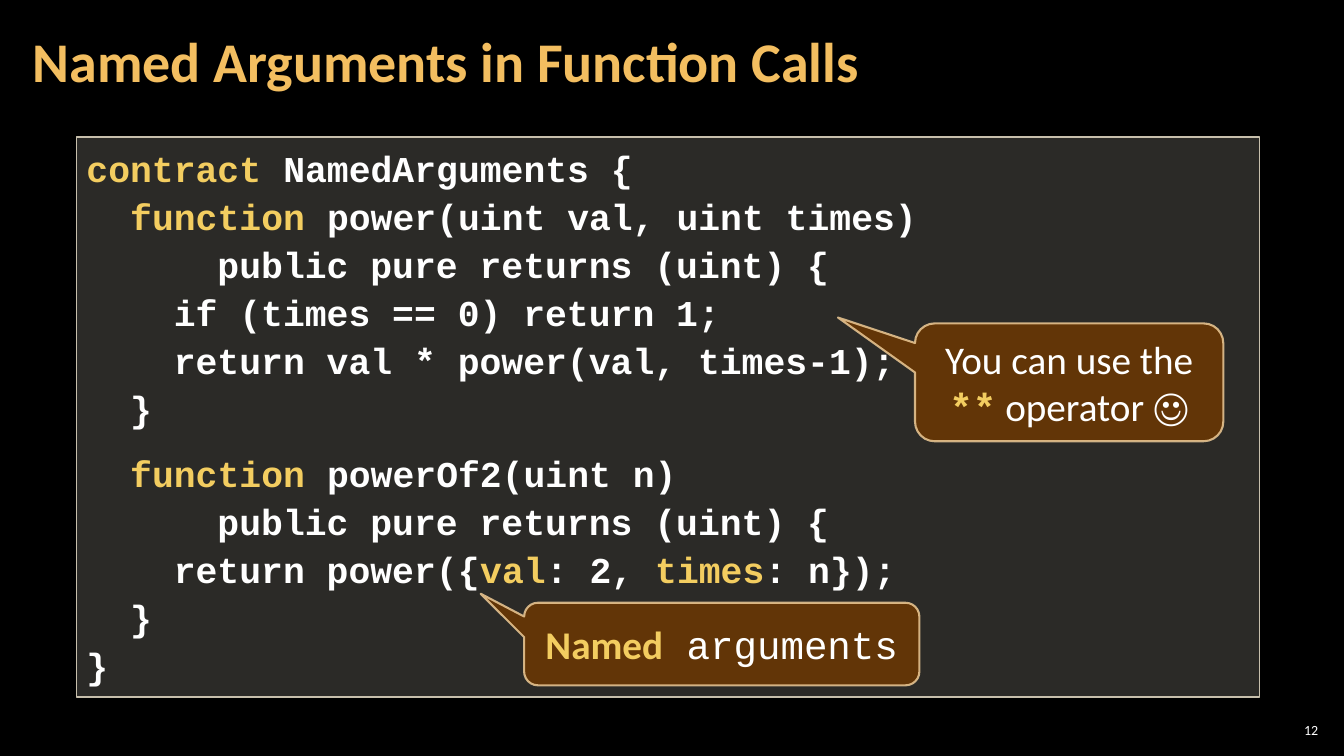
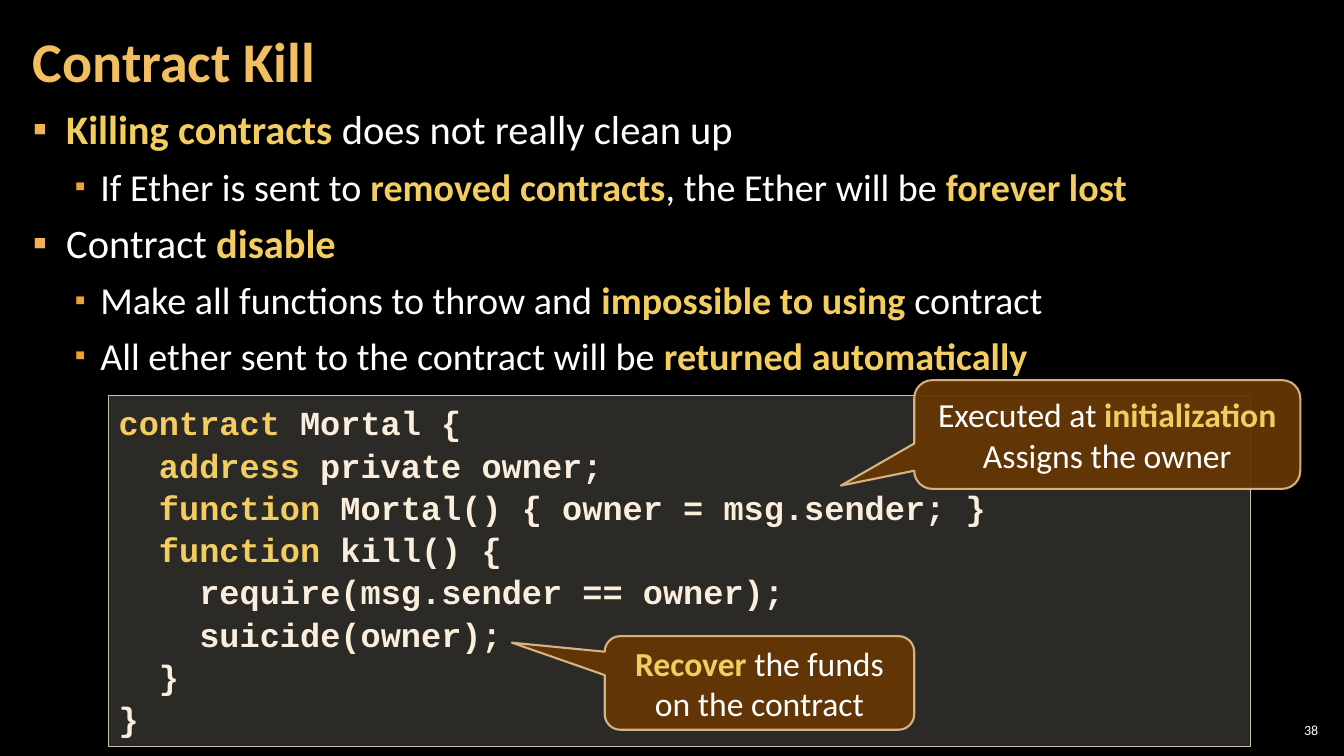
from lxml.etree import SubElement
from pptx import Presentation
from pptx.dml.color import RGBColor
from pptx.enum.shapes import MSO_SHAPE as Shape
from pptx.enum.text import MSO_ANCHOR as Anchor, PP_ALIGN as Align
from pptx.oxml.ns import qn
from pptx.util import Cm, Pt

# Shared look
SANS, MONO = "Calibri", "Courier New"
BLACK, WHITE, CREAM = "000000", "FFFFFF", "FBEEDC"
TITLE, KEY = "F3BE60", "F3CD60"
PANEL, PANEL_EDGE = "D9D5C7", "C7BFAC"
BUBBLE, BUBBLE_EDGE = "663606", "F8D49E"
TITLE_BOX = (0.53, 0.1, 27.2, 3.07)
NUMBER_BOX = (32.13, 18.14, 1.19, 0.53)
# Per outline level: left edge, hanging, size, bullet colour, bullet percent
LEVELS = [(0.84, 0.84, 28.9, "F2B254", 100), (1.7, 0.64, 27.2, "F0A22E", 80)]

# Content: |...| marks a keyword, `...` the code font; boxes are in cm
SLIDES = [
    {
        "title": "Named Arguments in Function Calls",
        "number": "12",
        "code": {
            "box": (1.93, 3.45, 29.82, 14.12),
            "size": 26, "spacing": 1.1, "color": WHITE,
            "blocks": [
                ["|contract| NamedArguments {",
                 "  |function| power(uint val, uint times)",
                 "      public pure returns (uint) {",
                 "    if (times == 0) return 1;",
                 "    return val * power(val, times-1);",
                 "  }"],
                ["  |function| powerOf2(uint n)",
                 "      public pure returns (uint) {",
                 "    return power({|val|: 2, |times|: n});",
                 "  }",
                 "}"],
            ],
        },
        "callouts": [
            ("You can use the `|**|` operator ☺", 28,
             (23.06, 8.15, 7.77, 2.97), (-0.75, -0.55)),
            ("|Named|` arguments`", 28,
             (13.21, 15.19, 9.96, 2.08), (-0.61, -0.61)),
        ],
    },
    {
        "title": "Contract Kill",
        "number": "38",
        "outline": {
            "box": (0.53, 2.72, 32.79, 7.44),
            "points": [
                (0, "|Killing contracts| does not really clean up"),
                (1, "If Ether is sent to |removed contracts|, "
                    "the Ether will be |forever lost|"),
                (0, "Contract |disable|"),
                (1, "Make all functions to throw and "
                    "|impossible to using| contract"),
                (1, "All ether sent to the contract will be "
                    "|returned automatically|"),
            ],
        },
        "code": {
            "box": (2.74, 9.96, 28.78, 8.86),
            "size": 24, "spacing": 1.05, "color": CREAM,
            "blocks": [
                ["|contract| Mortal {",
                 "  |address| private owner;",
                 "  |function| Mortal() { owner = msg.sender; }",
                 "  |function| kill() {",
                 "    require(msg.sender == owner);",
                 "    suicide(owner);",
                 "  }",
                 "}"],
            ],
        },
        "callouts": [
            ("|Recover| the funds on the contract", 24,
             (15.24, 16.03, 7.8, 2.36), (-0.8, -0.43)),
            ("Executed at |initialization| Assigns the owner", 24,
             (23.04, 9.58, 9.73, 2.74), (-0.69, 0.47)),
        ],
    },
]


def rgb(value):
    return RGBColor.from_string(value)


def cm(box):
    return [Cm(length) for length in box]


def set_opacity(fill_parent, percent):
    color = fill_parent.find(qn("a:solidFill")).find(qn("a:srgbClr"))
    SubElement(color, qn("a:alpha"), val=str(percent * 1000))


def add_runs(paragraph, marked, size, color, font=SANS, bold=False):
    """Write marked-up text as runs."""
    for i, stretch in enumerate(marked.split("`")):
        for j, words in enumerate(stretch.split("|")):
            if not words:
                continue
            run = paragraph.add_run()
            run.text = words
            run.font.name = MONO if i % 2 else font
            run.font.size = Pt(size)
            run.font.bold = bold or j % 2 == 1
            run.font.color.rgb = rgb(KEY if j % 2 else color)


def paragraphs(frame, count):
    return [frame.paragraphs[0]] + [frame.add_paragraph()
                                    for _ in range(count - 1)]


def add_text_area(slide, box, side, anchor):
    frame = slide.shapes.add_textbox(*cm(box)).text_frame
    frame.word_wrap = True
    frame.vertical_anchor = anchor
    frame.margin_left = frame.margin_right = Cm(side)
    frame.margin_top = frame.margin_bottom = Cm(0.1)
    return frame


def add_panel(slide, kind, box, fill, opacity, edge, width, anchor):
    panel = slide.shapes.add_shape(kind, *cm(box))
    panel.shadow.inherit = False
    panel.fill.solid()
    panel.fill.fore_color.rgb = rgb(fill)
    set_opacity(panel.element.spPr, opacity)
    panel.line.color.rgb = rgb(edge)
    panel.line.width = Pt(width)
    panel.text_frame.word_wrap = True
    panel.text_frame.vertical_anchor = anchor
    return panel


def add_frame(slide, title, number):
    """Background, title and slide number."""
    slide.background.fill.solid()
    slide.background.fill.fore_color.rgb = rgb(BLACK)
    heading = add_text_area(slide, TITLE_BOX, 0.3, Anchor.MIDDLE).paragraphs[0]
    heading.line_spacing = 0.9
    add_runs(heading, title, 40, TITLE, bold=True)
    footer = add_text_area(slide, NUMBER_BOX, 0.1, Anchor.MIDDLE).paragraphs[0]
    footer.alignment = Align.RIGHT
    add_runs(footer, number, 10, WHITE)


def add_outline(slide, box, points):
    frame = add_text_area(slide, box, 0.3, Anchor.TOP)
    for i, (paragraph, (level, text)) in enumerate(
            zip(paragraphs(frame, len(points)), points)):
        left, hanging, size, color, percent = LEVELS[level]
        paragraph.level = level
        paragraph.line_spacing = 0.85
        paragraph.space_before = Pt(6 if i else 0)
        paragraph.space_after = Pt(6)
        props = paragraph._p.get_or_add_pPr()
        props.set("marL", str(Cm(left)))
        props.set("indent", str(-Cm(hanging)))
        bullet_color = SubElement(props, qn("a:buClr"))
        SubElement(bullet_color, qn("a:srgbClr"), val=color)
        SubElement(props, qn("a:buSzPct"), val=str(percent * 1000))
        SubElement(props, qn("a:buFont"), typeface=SANS)
        SubElement(props, qn("a:buChar"), char="▪")
        add_runs(paragraph, text, size, WHITE)


def add_code(slide, box, size, spacing, color, blocks):
    panel = add_panel(slide, Shape.RECTANGLE, box, PANEL, 20,
                      PANEL_EDGE, 1, Anchor.TOP)
    # A gap opens every block but the first
    lines = [(line, b > 0 and n == 0)
             for b, block in enumerate(blocks) for n, line in enumerate(block)]
    for paragraph, (line, gap) in zip(
            paragraphs(panel.text_frame, len(lines)), lines):
        paragraph.alignment = Align.LEFT
        paragraph.line_spacing = spacing
        paragraph.space_before = Pt(12 if gap else 0)
        add_runs(paragraph, line, size, color, MONO, bold=True)


def add_callout(slide, text, size, box, tip):
    bubble = add_panel(slide, Shape.ROUNDED_RECTANGULAR_CALLOUT, box, BUBBLE,
                       95, BUBBLE_EDGE, 1.5, Anchor.MIDDLE)
    set_opacity(bubble.element.spPr.find(qn("a:ln")), 80)
    bubble.adjustments[0], bubble.adjustments[1] = tip
    paragraph = bubble.text_frame.paragraphs[0]
    paragraph.alignment = Align.CENTER
    add_runs(paragraph, text, size, WHITE)


def main():
    deck = Presentation()
    deck.slide_width, deck.slide_height = Cm(33.87), Cm(19.05)
    for content in SLIDES:
        slide = deck.slides.add_slide(deck.slide_layouts[6])
        add_frame(slide, content["title"], content["number"])
        if "outline" in content:
            add_outline(slide, **content["outline"])
        add_code(slide, **content["code"])
        for callout in content["callouts"]:
            add_callout(slide, *callout)
    deck.save("out.pptx")


if __name__ == "__main__":
    main()
